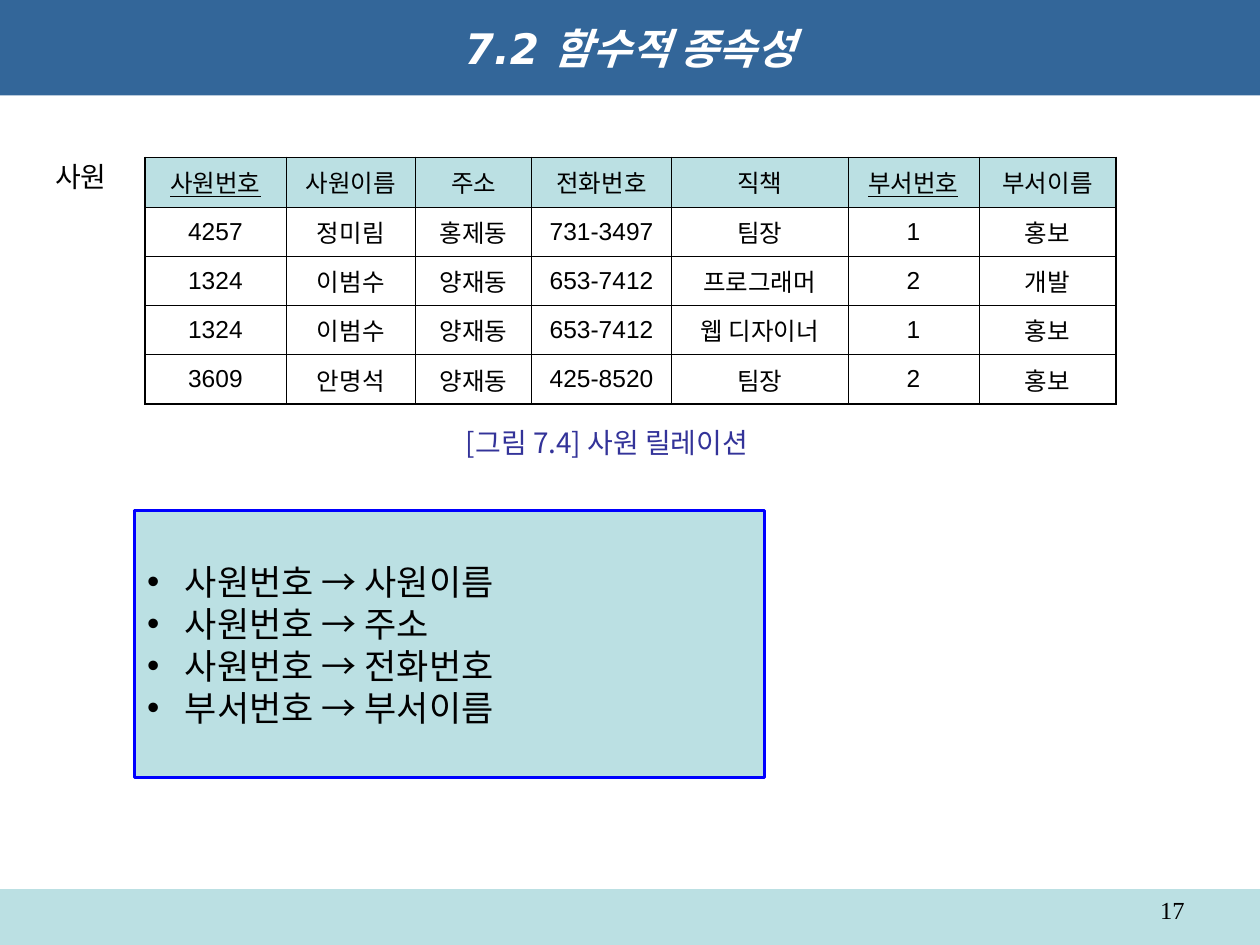
from lxml.etree import SubElement
from pptx import Presentation
from pptx.dml.color import RGBColor
from pptx.enum.shapes import MSO_SHAPE as SHAPE
from pptx.enum.text import MSO_ANCHOR as ANCHOR, PP_ALIGN as ALIGN
from pptx.oxml.ns import qn
from pptx.util import Inches, Pt

W, H = Inches(10), Inches(7.5)
KOREAN = "Noto Sans CJK KR"
PALE, BLUE, BLACK = "BBE0E3", "336699", "000000"
COL_SHARES = [11.2, 10.3, 9.2, 11.1, 14, 10.4, 10.9]
ROW_SHARE = 5.22
HEADER = ["사원번호", "사원이름", "주소", "전화번호", "직책", "부서번호", "부서이름"]
KEYS = {"사원번호", "부서번호"}
EMPLOYEES = [
    ["4257", "정미림", "홍제동", "731-3497", "팀장", "1", "홍보"],
    ["1324", "이범수", "양재동", "653-7412", "프로그래머", "2", "개발"],
    ["1324", "이범수", "양재동", "653-7412", "웹 디자이너", "1", "홍보"],
    ["3609", "안명석", "양재동", "425-8520", "팀장", "2", "홍보"],
]
DEPENDENCIES = ["사원번호 → 사원이름", "사원번호 → 주소",
                "사원번호 → 전화번호", "부서번호 → 부서이름"]


def color(value):
    return RGBColor.from_string(value)


def area(x, y, w, h):
    return int(W * x / 100), int(H * y / 100), int(W * w / 100), int(H * h / 100)


def write(p, text, ink=BLACK, align=ALIGN.LEFT, **font):
    p.alignment = align
    r = p.add_run()
    r.text = text
    for name, value in font.items():
        setattr(r.font, name, value)
    r.font.color.rgb = color(ink)
    east = font["name"] if "CJK" in font["name"] else KOREAN
    SubElement(r.font._element, qn("a:ea"), typeface=east)


def add_panel(s, place, fill, line=None):
    sp = s.shapes.add_shape(SHAPE.RECTANGLE, *area(*place))
    sp.shadow.inherit = False
    sp.fill.solid()
    sp.fill.fore_color.rgb = color(fill)
    if line:
        sp.line.color.rgb = color(line)
        sp.line.width = Pt(1.5)
    else:
        sp.line.fill.background()
    sp.text_frame.vertical_anchor = ANCHOR.MIDDLE
    return sp.text_frame


def add_label(s, place, text, wrap=True, anchor=ANCHOR.TOP, **style):
    tf = s.shapes.add_textbox(*area(*place)).text_frame
    tf.word_wrap = wrap
    tf.vertical_anchor = anchor
    write(tf.paragraphs[0], text, **style)


def add_bullets(tf, items, **style):
    for i, item in enumerate(items):
        p = tf.add_paragraph() if i else tf.paragraphs[0]
        pPr = p._p.get_or_add_pPr()
        pPr.set("marL", str(Inches(0.3)))
        pPr.set("indent", str(Inches(-0.3)))
        SubElement(pPr, qn("a:buFont"), typeface="Arial")
        SubElement(pPr, qn("a:buChar"), char="•")
        write(p, item, **style)


def set_borders(cell, widths):
    tcPr = cell._tc.get_or_add_tcPr()
    for side, width in widths.items():
        ln = SubElement(tcPr, qn(f"a:ln{side}"), w=str(Pt(width)))
        SubElement(SubElement(ln, qn("a:solidFill")), qn("a:srgbClr"), val=BLACK)


def add_relation(s, x, y, rows):
    n_rows, n_cols = len(rows), len(COL_SHARES)
    place = area(x, y, sum(COL_SHARES), ROW_SHARE * n_rows)
    table = s.shapes.add_table(n_rows, n_cols, *place).table
    table.first_row = table.horz_banding = False
    for col, share in zip(table.columns, COL_SHARES):
        col.width = int(W * share / 100)
    for i, row in enumerate(rows):
        table.rows[i].height = int(H * ROW_SHARE / 100)
        for j, text in enumerate(row):
            cell = table.cell(i, j)
            cell.vertical_anchor = ANCHOR.MIDDLE
            edges = {"L": j == 0, "R": j == n_cols - 1,
                     "T": i == 0, "B": i == n_rows - 1}
            set_borders(cell, {k: 1.08 if outer else 0.45 for k, outer in edges.items()})
            if i == 0:
                cell.fill.solid()
                cell.fill.fore_color.rgb = color(PALE)
            else:
                cell.fill.background()
            write(cell.text_frame.paragraphs[0], text, align=ALIGN.CENTER,
                  name="Arial", size=Pt(14), underline=text in KEYS)


def main():
    prs = Presentation()
    prs.slide_width, prs.slide_height = W, H
    s = prs.slides.add_slide(prs.slide_layouts[6])

    add_panel(s, (0, 94.1, 100, 5.9), PALE)
    title = add_panel(s, (0, 0, 100, 10.1), BLUE)
    write(title.paragraphs[0], "7.2 함수적 종속성", "FFFFFF", ALIGN.CENTER,
          name="DejaVu Sans", size=Pt(24), bold=True, italic=True)
    add_label(s, (71.7, 94.1, 23.3, 3.9), "17", align=ALIGN.RIGHT,
              name="Times New Roman", size=Pt(14))

    rules = add_panel(s, (10.7, 54, 50, 28.3), PALE, line="0000FF")
    add_bullets(rules, DEPENDENCIES, name=KOREAN, size=Pt(20))

    add_relation(s, 11.5, 16.67, [HEADER] + EMPLOYEES)
    add_label(s, (3.4, 16.25, 6.3, 4.9), "사원", wrap=False,
              name="Noto Sans CJK JP", size=Pt(16))
    add_label(s, (36, 44.4, 27.3, 4.9), "[그림 7.4] 사원 릴레이션",
              anchor=ANCHOR.MIDDLE, ink="333399", name=KOREAN, size=Pt(16))
    prs.save("out.pptx")


if __name__ == "__main__":
    main()
